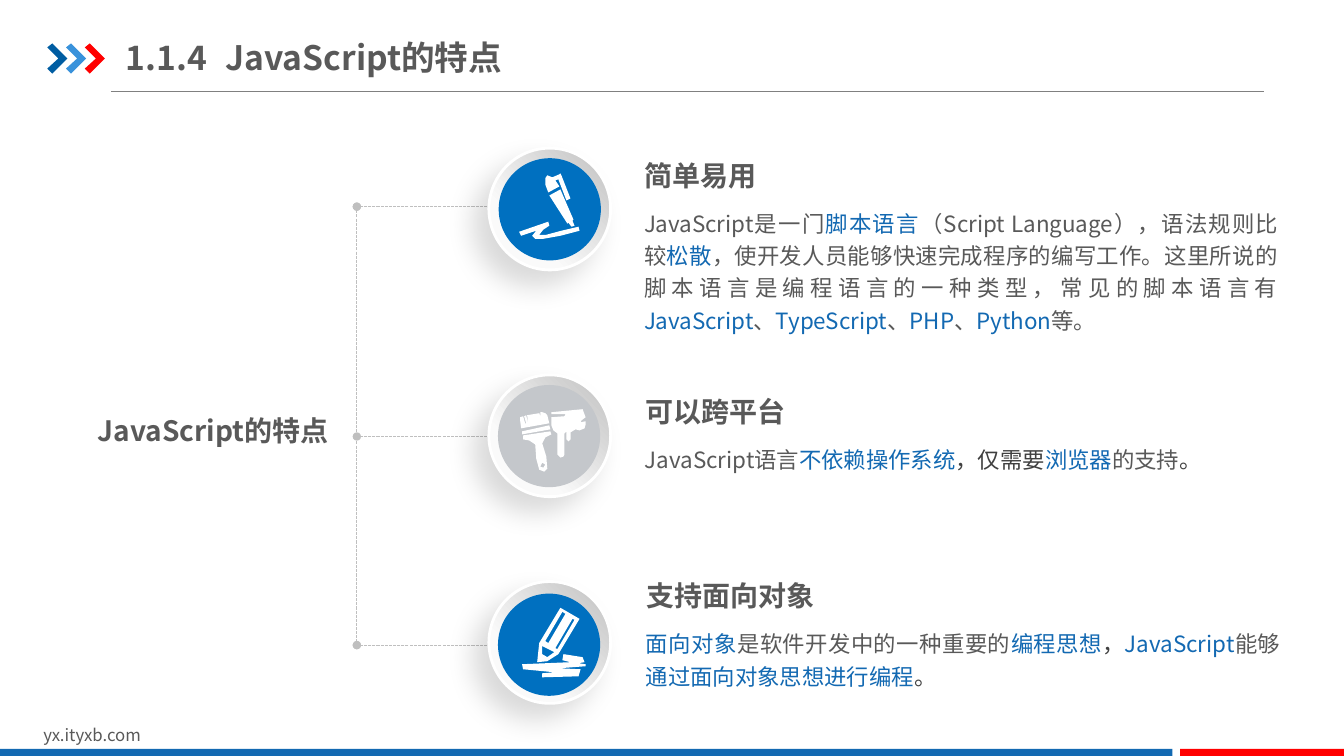
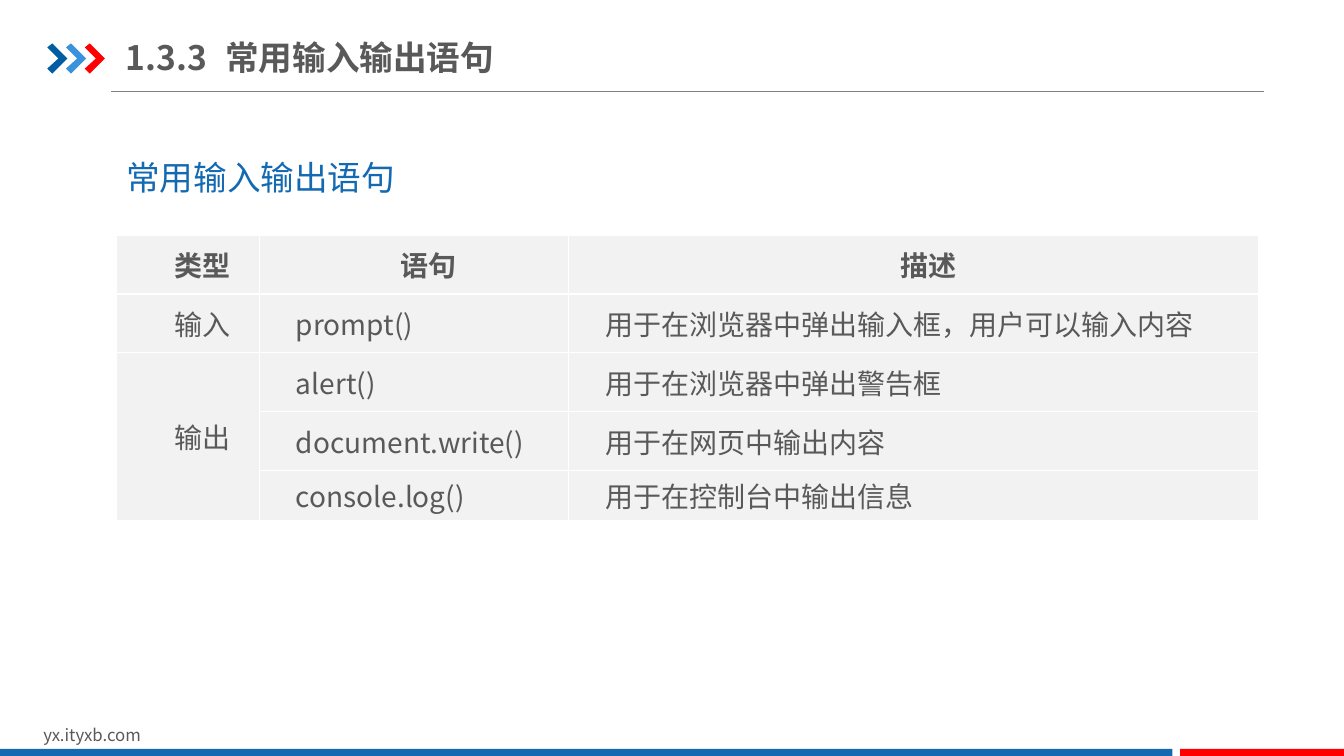
from itertools import accumulate

from lxml.etree import SubElement
from pptx import Presentation
from pptx.dml.color import RGBColor
from pptx.enum.dml import MSO_LINE
from pptx.enum.shapes import MSO_CONNECTOR, MSO_SHAPE
from pptx.enum.text import MSO_ANCHOR, PP_ALIGN
from pptx.oxml.ns import qn
from pptx.util import Pt

FONT = "Noto Sans CJK SC"
BLUE, GREY, DARK = "1369B2", "595959", "404040"
RED, WHITE, RULE, DOTS = "FF0000", "FFFFFF", "808080", "BFBFBF"
DISC_BLUE, DISC_GREY = "0070C0", "C4C7CB"
CELL_FILL = "F2F2F2"
ICON_UNIT = 0.72
RING_SIZE, DISC_SIZE = 87, 73
NO_INSETS = (0, 0, 0, 0)
HEADING = {"size": Pt(20), "bold": True}

CHEVRON = [[(0, 4), (5, 0), (20, 15), (5, 30), (0, 25), (11, 15)]]
PEN = [
    [(60, 47), (71, 41), (84, 71), (83, 72), (85, 77), (82, 78), (79, 74), (78, 75)],
    [(30, 83), (32, 87), (47, 82), (43, 87), (46, 90), (54, 90), (71, 87), (90, 82),
     (89, 78), (72, 82), (57, 86), (50, 86), (54, 81), (60, 77), (59, 73)],
    [(63, 29), (58, 27), (56, 30), (56, 36), (59, 44), (70, 38), (66, 32), (69, 31),
     (77, 52), (81, 50), (72, 27), (71, 25), (70, 26)],
]
BRUSHES = [
    [(81, 57), (81, 64), (79, 66), (77, 64), (77, 56), (75, 58), (75, 79), (74, 81),
     (71, 82), (68, 79), (68, 58), (64, 55), (62, 50), (62, 42), (75, 41), (76, 39),
     (62, 39), (62, 37), (93, 34), (96, 42), (92, 45), (91, 47), (96, 46), (96, 49),
     (95, 53), (90, 55), (86, 54)],
    [(33, 56), (60, 50), (61, 54), (33, 59)],
    [(61, 56), (34, 60), (34, 64), (40, 65), (46, 69), (47, 83), (50, 94), (55, 96),
     (58, 93), (57, 81), (53, 68), (56, 62), (62, 59)],
    [(53, 87), (56, 89), (54, 92), (51, 91)],
    [(60, 48), (58, 40), (56, 38), (53, 37), (51, 37), (51, 41), (50, 38), (38, 40),
     (39, 47), (39, 48), (37, 40), (35, 41), (37, 48), (36, 48), (34, 41), (31, 42),
     (31, 45), (32, 53)],
]
PENCIL = [
    [(71, 26), (90, 37), (69, 72), (58, 79), (48, 80), (50, 61)],
    [(89, 94), (91, 87), (70, 86), (96, 84), (96, 82), (89, 81), (95, 80), (93, 75),
     (74, 72), (73, 78), (81, 80), (33, 82), (34, 87), (65, 90), (53, 91), (53, 95)],
    [(58, 75), (65, 70), (53, 64), (53, 72)],
    [(83, 37), (66, 66), (68, 67), (85, 38)],
    [(73, 30), (56, 59), (59, 61), (76, 32)],
]

FEATURES = [
    {"ring_top": 105.8, "branch_y": 147.6, "disc": (7, 7.2), "color": DISC_BLUE,
     "icon": PEN, "text_at": (460.5, 113), "heading": "简单易用",
     "runs": [("JavaScript是一门", GREY), ("脚本语言", BLUE),
              ("（Script Language），语法规则比较", GREY), ("松散", BLUE),
              ("，使开发人员能够快速完成程序的编写工作。这里所说的脚本语言是编程语言的"
               "一种类型，常见的脚本语言有", GREY),
              ("JavaScript", BLUE), ("、", GREY), ("TypeScript", BLUE), ("、", GREY),
              ("PHP", BLUE), ("、", GREY), ("Python", BLUE), ("等。", GREY)]},
    {"ring_top": 267.8, "branch_y": 311.8, "disc": (6.5, 7.2), "color": DISC_GREY,
     "icon": BRUSHES, "text_at": (461.2, 281.7), "heading": "可以跨平台",
     "runs": [("JavaScript语言", GREY), ("不依赖操作系统", BLUE), ("，仅需要", DARK),
              ("浏览器", BLUE), ("的支持", GREY), ("。", DARK)]},
    {"ring_top": 415.4, "branch_y": 460.8, "disc": (6.5, 8.6), "color": DISC_BLUE,
     "icon": PENCIL, "text_at": (461.9, 413.3), "heading": "支持面向对象",
     "runs": [("面向对象", BLUE), ("是软件开发中的一种重要的", GREY), ("编程思想", BLUE),
              ("，", DARK), ("JavaScript", BLUE), ("能够", GREY),
              ("通过面向对象思想进行编程", BLUE), ("。", DARK)]},
]

STATEMENTS = [
    ("类型", "语句", "描述"),
    ("输入", "prompt()", "用于在浏览器中弹出输入框，用户可以输入内容"),
    ("输出", "alert()", "用于在浏览器中弹出警告框"),
    ("", "document.write()", "用于在网页中输出内容"),
    ("", "console.log()", "用于在控制台中输出信息"),
]


def rgb(color):
    return RGBColor.from_string(color)


def apply(target, values):
    for name, value in values.items():
        setattr(target, name, value)


def add_runs(paragraph, runs, **font):
    for text, color in runs:
        run = paragraph.add_run()
        run.text = text
        apply(run.font, {"name": FONT, **font})
        run.font.color.rgb = rgb(color)
        SubElement(run.font._element, qn("a:ea"), typeface=FONT)


def add_text(slide, box, runs, font, insets=(7.2, 3.6, 7.2, 3.6), frame=None,
             paragraph=None, tab=None):
    text_frame = slide.shapes.add_textbox(*map(Pt, box)).text_frame
    sides = ("margin_left", "margin_top", "margin_right", "margin_bottom")
    apply(text_frame, {"word_wrap": True, **dict(zip(sides, map(Pt, insets))), **(frame or {})})
    line = text_frame.paragraphs[0]
    if tab:
        tabs = SubElement(line._p.get_or_add_pPr(), qn("a:tabLst"))
        SubElement(tabs, qn("a:tab"), pos=str(Pt(tab)), algn="l")
    apply(line, paragraph or {})
    add_runs(line, runs, **font)


def add_flat_shape(slide, kind, box, color):
    shape = slide.shapes.add_shape(kind, *map(Pt, box))
    return flatten(shape, color)


def flatten(shape, color):
    """Give a shape a plain fill with neither line nor shadow."""
    shape.shadow.inherit = False
    shape.fill.solid()
    shape.fill.fore_color.rgb = rgb(color)
    shape.line.fill.background()
    return shape


def add_outline(slide, left, top, contours, color):
    """Draw closed contours given in hundredths of an inch from left, top."""
    builder = slide.shapes.build_freeform(*contours[0][0], scale=Pt(ICON_UNIT))
    for index, contour in enumerate(contours):
        if index:
            builder.move_to(*contour[0])
        builder.add_line_segments(contour[1:], close=True)
    flatten(builder.convert_to_shape(Pt(left), Pt(top)), color)


def add_line(slide, start, end, color):
    connector = slide.shapes.add_connector(MSO_CONNECTOR.STRAIGHT, *map(Pt, start + end))
    connector.line.color.rgb = rgb(color)
    connector.line.width = Pt(0.75)
    SubElement(connector._element.spPr, qn("a:effectLst"))
    return connector


def add_dotted_line(slide, start, end):
    line = add_line(slide, start, end, DOTS).line
    line.dash_style = MSO_LINE.SQUARE_DOT
    for tag in ("a:headEnd", "a:tailEnd"):
        SubElement(line._ln, qn(tag), type="oval")


def add_frame(deck, number, name):
    """Add a slide with the title, chevrons, rule and footer that all share."""
    slide = deck.slides.add_slide(deck.slide_layouts[6])
    add_line(slide, (79.2, 65.5), (902.9, 65.5), RULE)
    for index, color in enumerate(("005DA2", "3992DB", RED)):
        add_outline(slide, 33.8 + 13.4 * index, 31, CHEVRON, color)
    add_text(slide, (23.8, 514, 229, 21.6), [("yx.ityxb.com", GREY)], {"size": Pt(12)})
    for left, width, color in ((0, 837.4, BLUE), (843, 117, RED)):
        add_flat_shape(slide, MSO_SHAPE.RECTANGLE, (left, 535, width, 5), color)
    add_text(slide, (90, 20.9, 412.6, 39.6), [(f"{number}\t{name}", GREY)],
             {"size": Pt(24), "bold": True}, insets=(0, 5, 0, 5),
             frame={"vertical_anchor": MSO_ANCHOR.MIDDLE}, tab=71)
    return slide


def add_ring(slide, left, top):
    ring = add_flat_shape(slide, MSO_SHAPE.OVAL, (left, top, RING_SIZE, RING_SIZE), WHITE)
    ring.fill.gradient()
    ring.fill.gradient_angle = 225
    for stop, (position, color) in zip(ring.fill.gradient_stops, ((0, DOTS), (0.7, "FAFAFA"))):
        stop.position = position
        stop.color.rgb = rgb(color)
    ring.line.color.rgb = rgb(WHITE)
    ring.line.width = Pt(2)
    effects = ring._element.spPr.find(qn("a:effectLst"))
    shadow = SubElement(effects, qn("a:outerShdw"), blurRad=str(Pt(20)), dist=str(Pt(15)),
                        dir=str(135 * 60000), algn="tr", rotWithShape="0")
    shade = SubElement(shadow, qn("a:srgbClr"), val="000000")
    SubElement(shade, qn("a:alpha"), val="15000")


def add_badge(slide, left, feature):
    top = feature["ring_top"]
    add_ring(slide, left, top)
    inset_x, inset_y = feature["disc"]
    add_flat_shape(slide, MSO_SHAPE.OVAL,
                   (left + inset_x, top + inset_y, DISC_SIZE, DISC_SIZE), feature["color"])
    add_outline(slide, left, top, feature["icon"], WHITE)


def add_description(slide, left, top, feature):
    add_text(slide, (left, top, 156, 26), [(feature["heading"], GREY)], HEADING, NO_INSETS)
    add_text(slide, (left - 0.5, top + 33.3, 453, 22), feature["runs"], {"size": Pt(16)},
             NO_INSETS, paragraph={"alignment": PP_ALIGN.JUSTIFY, "line_spacing": 1.2})


def add_features_slide(deck):
    slide = add_frame(deck, "1.1.4", "JavaScript的特点")
    trunk_x, ring_left = 254.9, 349.2
    branches = [feature["branch_y"] for feature in FEATURES]
    for branch_y in branches:
        add_dotted_line(slide, (394.6, branch_y), (trunk_x, branch_y))
    add_dotted_line(slide, (trunk_x, branches[0]), (trunk_x, branches[-1]))
    for feature in FEATURES:
        add_badge(slide, ring_left, feature)
        add_description(slide, *feature["text_at"], feature)
    add_text(slide, (69.8, 295.2, 180, 26), [("JavaScript的特点", GREY)], HEADING, NO_INSETS)


def style_cell(cell, text, centred, bold):
    apply(cell, {"margin_left": Pt(5), "margin_right": Pt(5), "margin_top": 0,
                 "margin_bottom": 0, "vertical_anchor": MSO_ANCHOR.MIDDLE})
    properties = cell._tc.get_or_add_tcPr()
    for side in ("a:lnL", "a:lnR", "a:lnT", "a:lnB"):
        border = SubElement(properties, qn(side), w=str(Pt(1)))
        SubElement(SubElement(border, qn("a:solidFill")), qn("a:srgbClr"), val=WHITE)
    cell.fill.solid()
    cell.fill.fore_color.rgb = rgb(CELL_FILL)
    if text:
        paragraph = cell.text_frame.paragraphs[0]
        paragraph.alignment = PP_ALIGN.CENTER if centred else PP_ALIGN.LEFT
        paragraph._p.get_or_add_pPr().set("indent", str(Pt(21)))
        add_runs(paragraph, [(text, GREY)], size=Pt(20), bold=bold)


def add_statement_table(slide, left, top, widths, heights):
    box = (left, top, list(accumulate(widths))[-1], list(accumulate(heights))[-1])
    table = slide.shapes.add_table(len(heights), len(widths), *map(Pt, box)).table
    apply(table, {"first_row": False, "horz_banding": False})
    for column, width in zip(table.columns, widths):
        column.width = Pt(width)
    for row, height in zip(table.rows, heights):
        row.height = Pt(height)
    for row, texts in enumerate(STATEMENTS):
        for column, text in enumerate(texts):
            style_cell(table.cell(row, column), text, row == 0 or column == 0, row == 0)
    table.cell(2, 0).merge(table.cell(4, 0))


def add_statements_slide(deck):
    slide = add_frame(deck, "1.3.3", "常用输入输出语句")
    add_statement_table(slide, 83.2, 168, (102.2, 220.8, 493), (42, 42, 42, 42, 35.6))
    add_text(slide, (83.2, 94.3, 834, 46), [("常用输入输出语句", BLUE)], {"size": Pt(24)},
             paragraph={"line_spacing": 1.5})


def main():
    deck = Presentation()
    apply(deck, {"slide_width": Pt(960), "slide_height": Pt(540)})
    add_features_slide(deck)
    add_statements_slide(deck)
    deck.save("out.pptx")


if __name__ == "__main__":
    main()
